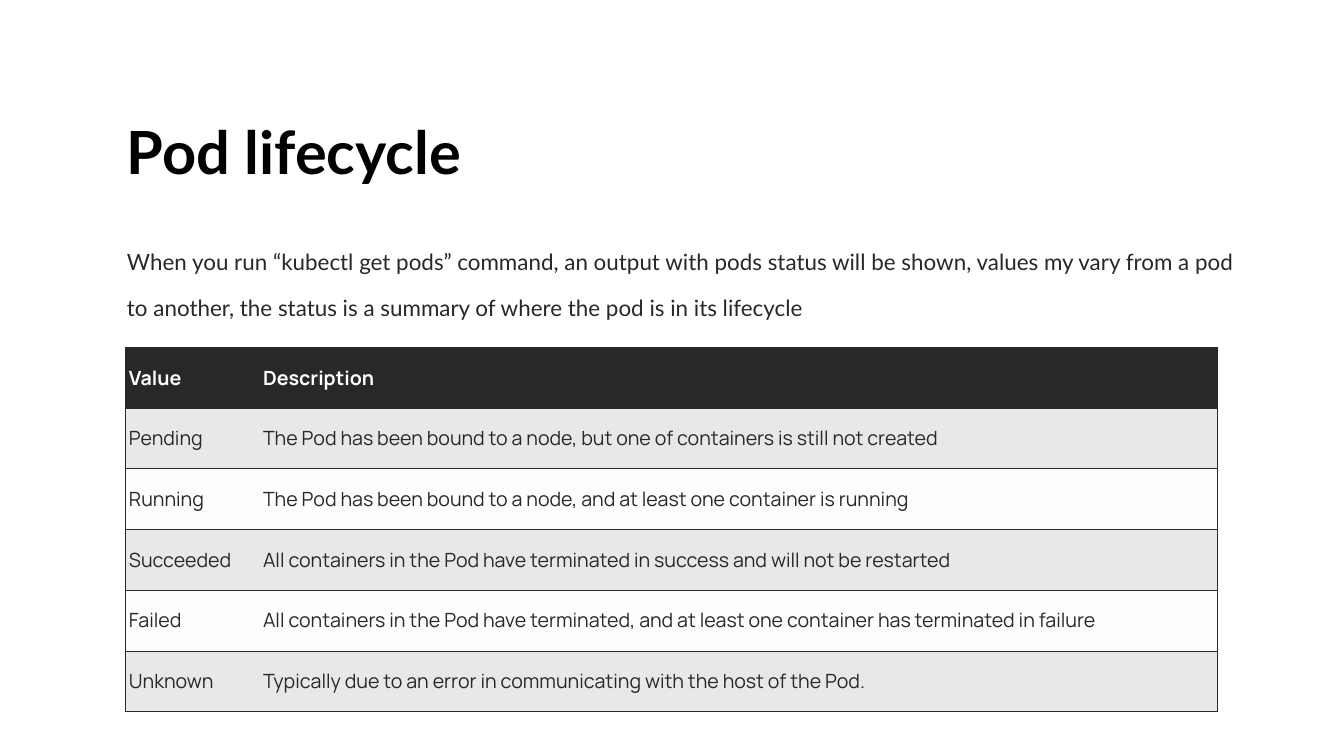
import dataclasses

import lxml.etree
import pptx
import pptx.dml.color
import pptx.enum.text
import pptx.oxml.ns
import pptx.util

Cm = pptx.util.Cm
Pt = pptx.util.Pt
qn = pptx.oxml.ns.qn
Anchor = pptx.enum.text.MSO_ANCHOR

DARK, PALE, GREY = "292729", "FDFCFF", "E8E8E8"
PLAIN = "{2D5ABB26-0587-4C30-8999-92F81FD0307C}"  # table style without grid
LEFT = 6.3


@dataclasses.dataclass
class State:
    value: str
    about: str


@dataclasses.dataclass
class Block:
    text: str
    box: tuple
    anchor: Anchor
    para: dict
    font: dict
    color: str


STATES = [
    State("Value", "Description"),
    State("Pending", "The Pod has been bound to a node, but one of containers is still not created"),
    State("Running", "The Pod has been bound to a node, and at least one container is running"),
    State("Succeeded", "All containers in the Pod have terminated in success and will not be restarted"),
    State("Failed", "All containers in the Pod have terminated, and at least one container has terminated in failure"),
    State("Unknown", "Typically due to an error in communicating with the host of the Pod."),
]

TITLE = Block(
    "Pod lifecycle", (LEFT, 4.8, 54.18, 6.05), Anchor.MIDDLE,
    {"line_spacing": 0.9},
    {"name": "Lato", "size": Pt(85), "bold": True}, "000000",
)
INTRO = Block(
    "When you run “kubectl get pods” command, an output with pods status will be shown, "
    "values my vary from a pod to another, the status is a summary of where the pod is in its lifecycle",
    (LEFT, 11.46, 56.87, 5.21), Anchor.TOP,
    {"line_spacing": 1.7, "space_before": Pt(0), "space_after": Pt(6)},
    {"name": "Lato", "size": Pt(32), "bold": False}, DARK,
)


def paint(part, color: str) -> None:
    """Colour a fill or a font."""
    if hasattr(part, "solid"):
        part.solid()
        part.fore_color.rgb = pptx.dml.color.RGBColor.from_string(color)
    else:
        part.color.rgb = pptx.dml.color.RGBColor.from_string(color)


def assign(part, values: dict) -> None:
    for name, value in values.items():
        setattr(part, name, value)


def margins(size: float) -> dict:
    return {f"margin_{side}": Cm(size) for side in ("left", "right", "top", "bottom")}


def write(shape, block: Block) -> None:
    """Move a placeholder and fill it with one unbulleted paragraph."""
    assign(shape, dict(zip(("left", "top", "width", "height"), map(Cm, block.box))))
    frame = shape.text_frame
    assign(frame, margins(0.1) | {
        "text": block.text, "word_wrap": True, "vertical_anchor": block.anchor,
        "auto_size": pptx.enum.text.MSO_AUTO_SIZE.NONE,
    })
    para = frame.paragraphs[0]
    assign(para, block.para | {"alignment": pptx.enum.text.PP_ALIGN.LEFT})
    props = para._p.get_or_add_pPr()
    props.set("marL", "0")
    props.set("indent", "0")
    lxml.etree.SubElement(props, qn("a:buNone"))
    font = para.runs[0].font
    assign(font, block.font)
    paint(font, block.color)


def border(cell, sides: str) -> None:
    """Draw 1 pt lines on the given sides, in the order L, R, T, B."""
    props = cell._tc.get_or_add_tcPr()
    for side in sides:
        line = lxml.etree.SubElement(props, qn(f"a:ln{side}"), w=str(Pt(1)))
        fill = lxml.etree.SubElement(line, qn("a:solidFill"))
        lxml.etree.SubElement(fill, qn("a:srgbClr"), val=DARK)


def enter(cell, text: str, row: int, sides: str) -> None:
    """Fill and format one table cell."""
    head = row == 0
    border(cell, sides)
    paint(cell.fill, DARK if head else GREY if row % 2 else PALE)
    assign(cell, margins(0.2) | {"text": text, "vertical_anchor": Anchor.MIDDLE})
    font = cell.text_frame.paragraphs[0].runs[0].font
    assign(font, {"name": "Manrope", "size": Pt(28), "bold": head})
    paint(font, PALE if head else DARK)


def tabulate(slide, states: list[State]) -> None:
    widths, high = (6.76, 48.29), 3.06
    frame = slide.shapes.add_table(
        len(states), 2, Cm(LEFT), Cm(17.5), Cm(sum(widths)), Cm(high * len(states)))
    table = frame.table
    table.horz_banding = False
    table._tbl.tblPr.find(qn("a:tableStyleId")).text = PLAIN
    for column, width in zip(table.columns, widths):
        column.width = Cm(width)
    for row, state in enumerate(states):
        table.rows[row].height = Cm(high)
        enter(table.cell(row, 0), state.value, row, "LTB")
        enter(table.cell(row, 1), state.about, row, "RTB")


def main() -> None:
    deck = pptx.Presentation()
    deck.slide_width, deck.slide_height = Cm(67.74), Cm(38.1)
    slide = deck.slides.add_slide(deck.slide_layouts[1])
    paint(slide.background.fill, "FFFFFF")

    # Heading and introduction
    write(slide.shapes.title, TITLE)
    write(slide.placeholders[1], INTRO)

    # Pod states
    tabulate(slide, STATES)
    deck.save("out.pptx")


if __name__ == "__main__":
    main()
